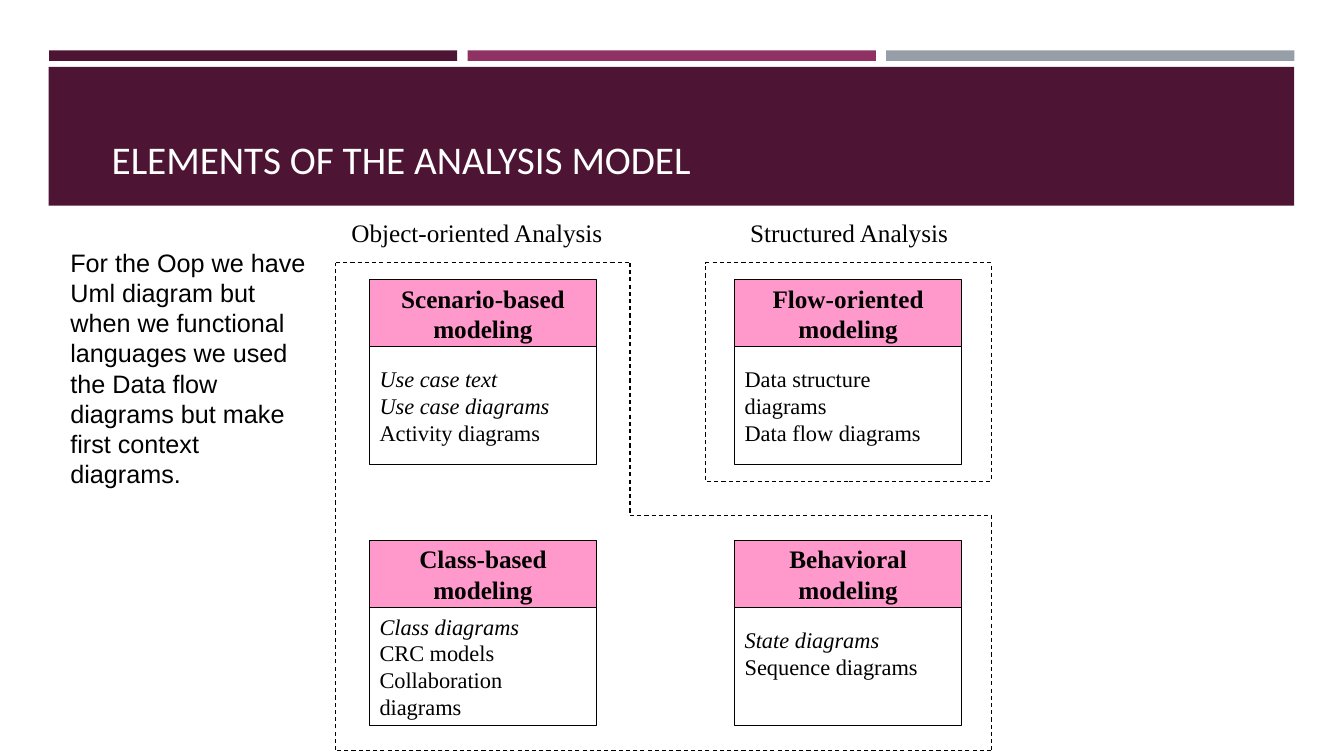
from dataclasses import dataclass

from lxml import etree
from pptx import Presentation
from pptx.dml.color import RGBColor
from pptx.enum.dml import MSO_LINE
from pptx.enum.shapes import MSO_CONNECTOR, MSO_SHAPE
from pptx.enum.text import MSO_ANCHOR, PP_ALIGN
from pptx.oxml.ns import qn
from pptx.util import Pt

RECT = MSO_SHAPE.RECTANGLE
STRAIGHT = MSO_CONNECTOR.STRAIGHT
DASH = MSO_LINE.DASH
LEFT, CENTER = PP_ALIGN.LEFT, PP_ALIGN.CENTER
TOP, MIDDLE, BOTTOM = MSO_ANCHOR.TOP, MSO_ANCHOR.MIDDLE, MSO_ANCHOR.BOTTOM


@dataclass(frozen=True)
class Theme:
    plum: str = "4D1434"
    berry: str = "903163"
    gray: str = "969FA7"
    pink: str = "FF99CC"
    white: str = "FFFFFF"
    black: str = "000000"
    title_font: str = "Calibri"
    note_font: str = "Arial"
    diagram_font: str = "Times New Roman"
    title_size: float = 28
    label_size: float = 18
    item_size: float = 16
    line_width: float = 0.74


class SlideBuilder:
    def __init__(self, slide, theme):
        self.s = slide
        self.theme = theme

    def stroke(self, line, dash=None):
        line.color.rgb = RGBColor.from_string(self.theme.black)
        line.width = Pt(self.theme.line_width)
        if dash:
            line.dash_style = dash

    def rect(self, box, fill=None, outline=True, dash=None, shapes=None):
        sp = (shapes or self.s.shapes).add_shape(RECT, *map(Pt, box))
        sp.shadow.inherit = False
        if fill:
            sp.fill.solid()
            sp.fill.fore_color.rgb = RGBColor.from_string(fill)
        else:
            sp.fill.background()
        if outline:
            self.stroke(sp.line, dash)
        else:
            sp.line.fill.background()
        return sp

    def line(self, start, end):
        sp = self.s.shapes.add_connector(STRAIGHT, *map(Pt, start + end))
        self.stroke(sp.line, DASH)
        etree.SubElement(sp._element.spPr, qn("a:effectLst"))

    def fill_text(self, sp, lines, font, size, color=None, align=LEFT,
                  anchor=MIDDLE, bold=False, italics=0, bottom=3.6):
        tf = sp.text_frame
        frame = {"word_wrap": True, "vertical_anchor": anchor,
                 "margin_bottom": Pt(bottom)}
        for name, value in frame.items():
            setattr(tf, name, value)
        for i, text in enumerate(lines):
            p = tf.paragraphs[0] if i == 0 else tf.add_paragraph()
            p.alignment = align
            r = p.add_run()
            r.text = text
            style = {"name": font, "size": Pt(size), "bold": bold,
                     "italic": i < italics}
            for name, value in style.items():
                setattr(r.font, name, value)
            r.font.color.rgb = RGBColor.from_string(color or self.theme.black)

    def text(self, box, text, font, size, **style):
        sp = self.s.shapes.add_textbox(*map(Pt, box))
        self.fill_text(sp, [text], font, size, **style)

    def card(self, left, top, heading, items, italics, bottom):
        t = self.theme
        shapes = self.s.shapes.add_group_shape().shapes
        body = self.rect((left, top + 48, 162, 84), t.white, shapes=shapes)
        self.fill_text(body, items, t.diagram_font, t.item_size,
                       italics=italics, bottom=bottom)
        head = self.rect((left, top, 162, 48), t.pink, shapes=shapes)
        self.fill_text(head, [heading, "modeling"], t.diagram_font,
                       t.label_size, align=CENTER, bold=True)


prs = Presentation()
prs.slide_width, prs.slide_height = Pt(960), Pt(540)
theme = Theme()
b = SlideBuilder(prs.slides.add_slide(prs.slide_layouts[6]), theme)

for i, color in enumerate((theme.plum, theme.berry, theme.gray)):
    b.rect((35 + i * 299, 36, 291.6, 7.5), color, outline=False)
b.rect((34.8, 47.8, 889.6, 99.2), theme.plum, outline=False)
b.text((72.7, 85.7, 612, 48.2), "ELEMENTS OF THE ANALYSIS MODEL",
       theme.title_font, theme.title_size, color=theme.white, anchor=BOTTOM)

columns, rows = (264, 524.8), (199.8, 386)
cards = [
    (0, 0, "Scenario-based",
     ["Use case text", "Use case diagrams", "Activity diagrams"], 2, 3.6),
    (0, 1, "Class-based",
     ["Class diagrams", "CRC models", "Collaboration diagrams"], 1, 3.6),
    (1, 0, "Flow-oriented",
     ["Data structure diagrams", "Data flow diagrams"], 0, 3.6),
    (1, 1, "Behavioral", ["State diagrams", "Sequence diagrams"], 1, 22.8),
]
for column, row, *content in cards:
    b.card(columns[column], rows[row], *content)

b.rect((504, 187.8, 204, 156.2), dash=DASH)
object_oriented = [(240, 187.8), (450, 187.8), (450, 368),
                   (708, 368), (708, 535.8), (240, 535.8)]
for start, end in zip(object_oriented, object_oriented[1:] + object_oriented[:1]):
    b.line(start, end)

for left, width, label in ((243, 195.4, "Object-oriented Analysis"),
                           (528, 157, "Structured Analysis")):
    b.text((left, 152, width, 29), label, theme.diagram_font,
           theme.label_size, align=CENTER, anchor=TOP)

b.text((43.2, 172.8, 187.2, 168.5),
       "For the Oop we have Uml diagram but when we functional languages "
       "we used the Data flow diagrams but make first context diagrams.",
       theme.note_font, theme.label_size, anchor=TOP)

prs.save("out.pptx")
